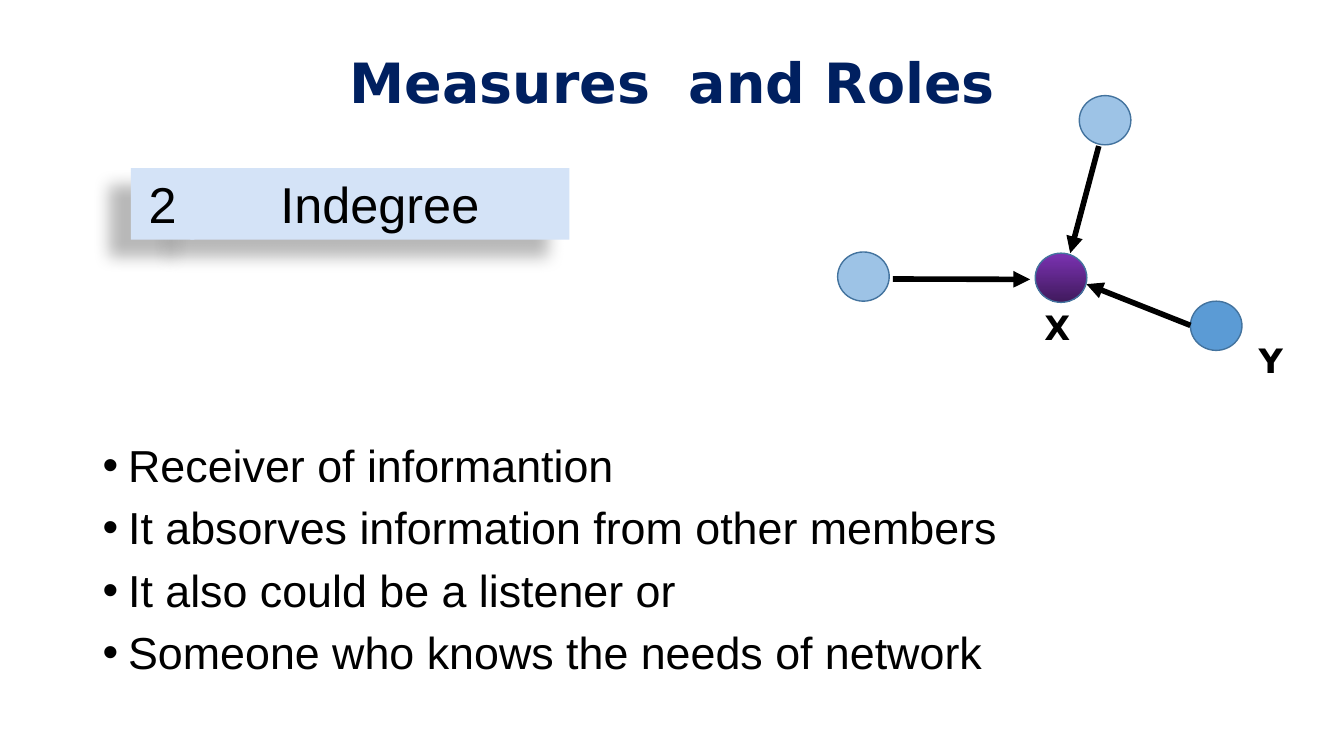
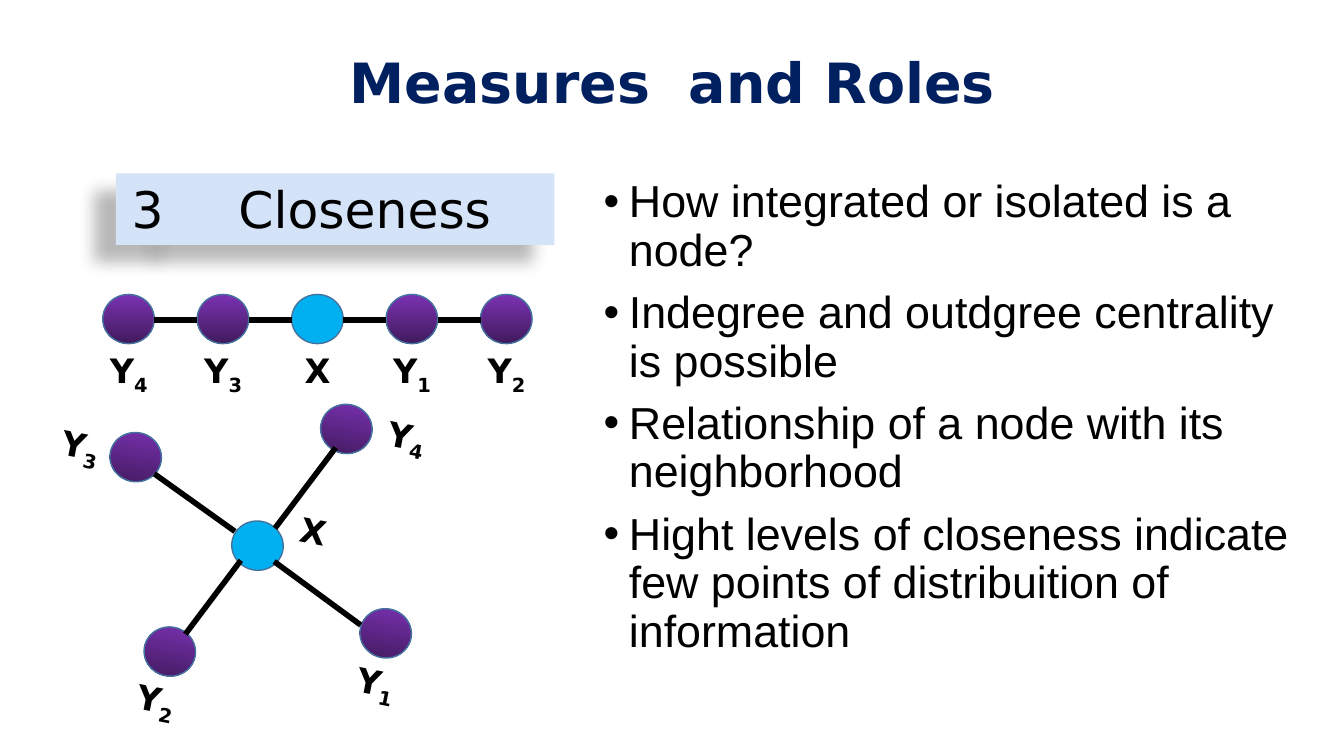
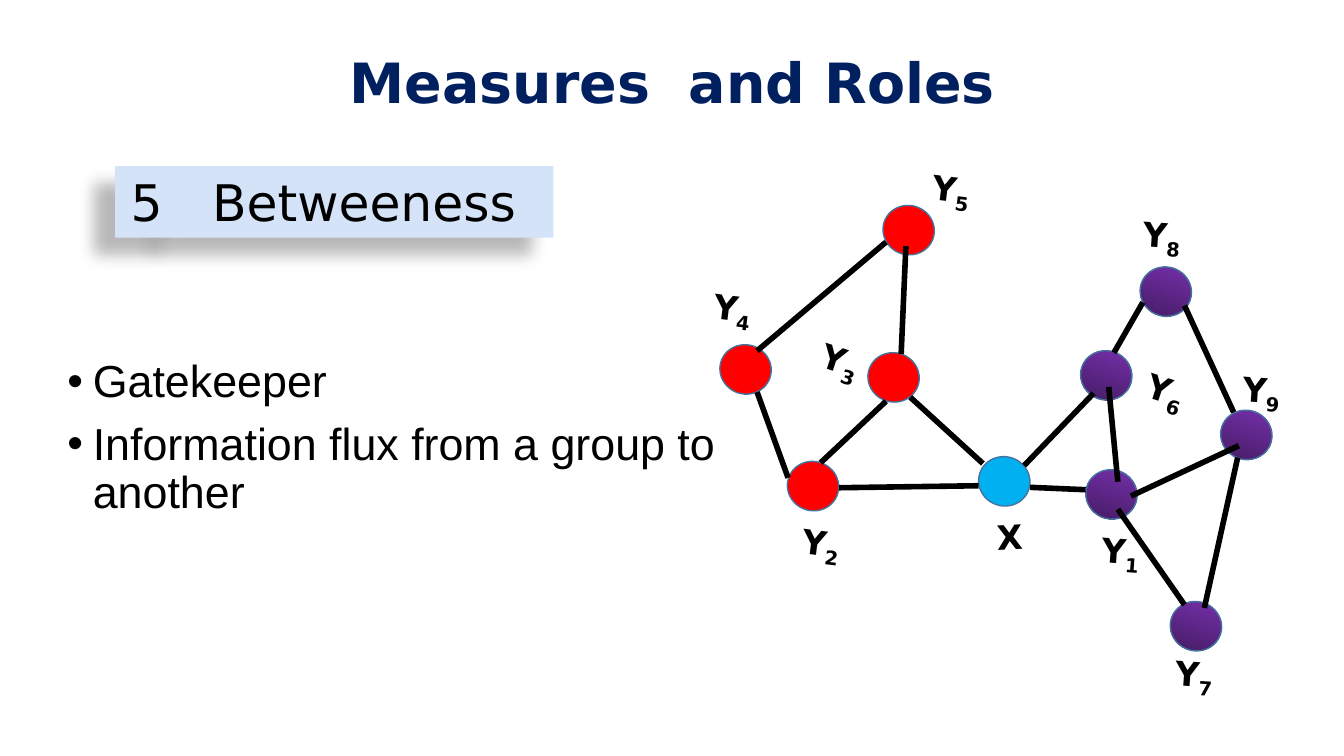
from dataclasses import dataclass
from lxml import etree
from pptx import Presentation
from pptx.dml.color import RGBColor as RGB
from pptx.enum.shapes import MSO_CONNECTOR as CONN, MSO_SHAPE as SHAPE
from pptx.enum.text import MSO_ANCHOR as ANCHOR, PP_ALIGN as ALIGN
from pptx.oxml import parse_xml
from pptx.oxml.ns import nsdecls, qn
from pptx.util import Cm, Pt


@dataclass(frozen=True)
class Theme:
    heading: str = "DejaVu Sans"
    body: str = "Arial"
    title_size: float = 39.6
    badge_size: int = 36
    body_size: int = 32
    label_size: int = 24
    navy: str = "002060"
    black: str = "000000"
    badge: str = "D4E3F7"
    outline: str = "43739E"
    cyan: str = "00B0F0"
    red: str = "FF0000"
    blue: str = "5B9BD5"
    pale: str = "9DC3E6"
    purple: tuple = ("7B32B2", "401A5D")


T = Theme()
NODE_W, NODE_H = 1.3, 1.24
LABEL_W, LABEL_H = 2.13, 1.27
CHAIN_X, CHAIN_Y, CHAIN_STEP = 2.59, 7.42, 2.38
BADGE_H, NUMBER_W, NAME_W, NAME_OFFSET = 1.8, 1.6, 9.55, 1.5

SHADOW = (
    f'<a:effectLst {nsdecls("a")}><a:outerShdw blurRad="150000" dist="250000" '
    'dir="8460000" algn="tl" rotWithShape="0"><a:srgbClr val="000000">'
    '<a:alpha val="28000"/></a:srgbClr></a:outerShdw></a:effectLst>'
)


def style(p, size, font, color=T.black, bold=False, align=ALIGN.CENTER):
    p.alignment = align
    for r in p.runs:
        r.font.size = Pt(size)
        r.font.name = font
        r.font.bold = bold
        r.font.color.rgb = RGB.from_string(color)


chain = [
    (name, CHAIN_X + i * CHAIN_STEP, CHAIN_Y, T.cyan if name == "X" else T.purple, 0,
     CHAIN_X + i * CHAIN_STEP - 0.41, 8.7, 0)
    for i, name in enumerate(["Y4", "Y3", "X", "Y1", "Y2"])
]
chain_lines = [
    (CHAIN_X + i * CHAIN_STEP + NODE_W, 8.07, CHAIN_X + (i + 1) * CHAIN_STEP, 8.07)
    for i in range(4)
]

slides = [
    dict(
        number="2", name="Indegree", badge_font=T.body, badge_at=(3.3, 4.24),
        body_at=(2.34, 11.05, 30.02, 6.4),
        bullets=[
            "Receiver of informantion",
            "It absorves information from other members",
            "It also could be a listener or",
            "Someone who knows the needs of network",
        ],
        arrows=True,
        nodes=[
            ("X", 26.09, 6.38, T.purple, 0, 25.58, 7.62, 0),
            ("Y", 30, 7.59, T.blue, 0, 30.96, 8.43, 0),
            ("", 27.2, 2.41, T.pale, 0, 0, 0, 0),
            ("", 21.11, 6.35, T.pale, 0, 0, 0, 0),
        ],
        lines=[
            (30, 8.2, 27.38, 7.16),
            (22.5, 7.03, 25.96, 7.04),
            (27.69, 3.68, 26.97, 6.38),
        ],
    ),
    dict(
        number="3", name="Closeness", badge_font=T.heading, badge_at=(2.92, 4.37),
        body_at=(14.96, 4.39, 18.26, 13.64),
        bullets=[
            "How integrated or isolated is a node?",
            "Indegree and outdgree centrality is possible",
            "Relationship of a node with its neighborhood",
            "Hight levels of closeness indicate few points of distribuition of information",
        ],
        arrows=False,
        nodes=chain + [
            ("X", 5.84, 13.13, T.cyan, 11, 6.83, 12.73, 11),
            ("Y1", 9.07, 15.34, T.purple, 11, 8.41, 16.56, 11),
            ("Y2", 3.63, 15.8, T.purple, 11, 2.87, 16.99, 11),
            ("Y3", 2.77, 10.9, T.purple, 11, 0.97, 10.59, 11),
            ("Y4", 8.08, 10.19, T.purple, 11, 9.19, 10.34, 11),
        ],
        lines=chain_lines + [
            (6.91, 14.15, 9.09, 15.75),
            (5.92, 13.39, 3.89, 11.94),
            (6.93, 13.31, 8.46, 11.28),
            (4.67, 15.98, 6.07, 14.12),
        ],
    ),
    dict(
        number="5", name="Betweeness", badge_font=T.heading, badge_at=(2.9, 4.19),
        body_at=(1.45, 8.92, 17.17, 5.94),
        bullets=["Gatekeeper", "Information flux from a group to another"],
        arrows=False,
        nodes=[
            ("X", 24.66, 11.51, T.cyan, 18, 24.38, 12.88, -3),
            ("Y1", 27.36, 11.84, T.purple, 18, 27.18, 13.23, 4),
            ("Y2", 19.84, 11.63, T.red, 18, 19.63, 13.03, 7),
            ("Y3", 21.87, 8.89, T.red, 18, 20.12, 8.43, 18),
            ("Y4", 18.14, 8.69, T.red, 18, 17.4, 7.11, 7),
            ("Y5", 22.25, 5.18, T.red, 18, 22.91, 4.11, 7),
            ("Y6", 27.23, 8.84, T.purple, 18, 28.32, 9.19, 18),
            ("Y7", 29.49, 15.16, T.purple, 18, 29.03, 16.33, 4),
            ("Y8", 28.73, 6.73, T.purple, 18, 28.22, 5.28, 4),
            ("Y9", 30.76, 10.34, T.purple, 18, 30.73, 9.19, 4),
        ],
        lines=[
            (25.96, 12.28, 27.36, 12.34),
            (20.68, 11.66, 22.33, 10.11),
            (24.77, 11.68, 22.94, 10.01),
            (25.81, 11.73, 27.56, 9.91),
            (21.14, 12.29, 24.66, 12.24),
            (28.17, 12.14, 27.94, 9.75),
            (19.86, 12.04, 19.08, 9.88),
            (22.71, 8.92, 22.83, 6.2),
            (19.08, 8.84, 22.33, 6.1),
            (29.85, 15.24, 28.17, 12.83),
            (30.35, 15.32, 31.19, 11.53),
            (31.09, 10.39, 29.85, 7.7),
            (28.07, 8.89, 28.8, 7.62),
            (28.5, 12.5, 31.22, 11.23),
        ],
    ),
]

prs = Presentation()
prs.slide_width, prs.slide_height = Cm(33.87), Cm(19.05)

for data in slides:
    s = prs.slides.add_slide(prs.slide_layouts[5])

    title = s.shapes.title
    title.left, title.top, title.width, title.height = Cm(2.34), Cm(1.02), Cm(29.21), Cm(3.68)
    tf = title.text_frame
    tf.text = "Measures  and Roles"
    tf.vertical_anchor = ANCHOR.TOP
    tf.margin_top = Cm(0.39)
    tf.paragraphs[0].line_spacing = 0.9
    style(tf.paragraphs[0], T.title_size, T.heading, T.navy, bold=True)

    x, y = data["badge_at"]
    for text, left, width in [
        (data["name"], x + NAME_OFFSET, NAME_W),
        (data["number"], x, NUMBER_W),
    ]:
        sp = s.shapes.add_shape(SHAPE.RECTANGLE, Cm(left), Cm(y), Cm(width), Cm(BADGE_H))
        sp.fill.solid()
        sp.fill.fore_color.rgb = RGB.from_string(T.badge)
        sp.line.fill.background()
        sp._element.spPr.append(parse_xml(SHADOW))
        tf = sp.text_frame
        tf.text = text
        tf.vertical_anchor = ANCHOR.TOP
        style(tf.paragraphs[0], T.badge_size, data["badge_font"])

    for label, left, top, fill, turn, label_x, label_y, label_turn in data["nodes"]:
        sp = s.shapes.add_shape(SHAPE.OVAL, Cm(left), Cm(top), Cm(NODE_W), Cm(NODE_H))
        sp.rotation = turn
        sp.shadow.inherit = False
        sp.line.color.rgb = RGB.from_string(T.outline)
        sp.line.width = Pt(1)
        if fill == T.purple:
            sp.fill.gradient()
            sp.fill.gradient_angle = 270
            for stop, color, position in zip(sp.fill.gradient_stops, fill, (0, 1)):
                stop.color.rgb = RGB.from_string(color)
                stop.position = position
        else:
            sp.fill.solid()
            sp.fill.fore_color.rgb = RGB.from_string(fill)
        if label:
            box = s.shapes.add_textbox(Cm(label_x), Cm(label_y), Cm(LABEL_W), Cm(LABEL_H))
            box.rotation = label_turn
            tf = box.text_frame
            tf.word_wrap = True
            p = tf.paragraphs[0]
            p.text = label[0]
            if label[1:]:
                r = p.add_run()
                r.text = label[1:]
                r.font._element.set("baseline", "-25000")
            style(p, T.label_size, T.heading, bold=True)

    for x1, y1, x2, y2 in data["lines"]:
        line = s.shapes.add_connector(CONN.STRAIGHT, Cm(x1), Cm(y1), Cm(x2), Cm(y2))
        line.line.color.rgb = RGB.from_string(T.black)
        line.line.width = Pt(4)
        if data["arrows"]:
            etree.SubElement(line.line._get_or_add_ln(), qn("a:tailEnd"), type="triangle")
        etree.SubElement(line._element.spPr, qn("a:effectLst"))

    box = s.shapes.add_textbox(*[Cm(v) for v in data["body_at"]])
    tf = box.text_frame
    tf.word_wrap = True
    tf.text = "\n".join(data["bullets"])
    for p in tf.paragraphs:
        p.line_spacing = 0.9
        p.space_before = Pt(10)
        style(p, T.body_size, T.body, align=ALIGN.LEFT)
        pPr = p._p.get_or_add_pPr()
        pPr.set("marL", str(Cm(0.64)))
        pPr.set("indent", str(-Cm(0.64)))
        etree.SubElement(pPr, qn("a:buFont"), typeface=T.body)
        etree.SubElement(pPr, qn("a:buChar"), char="•")

prs.save("out.pptx")
